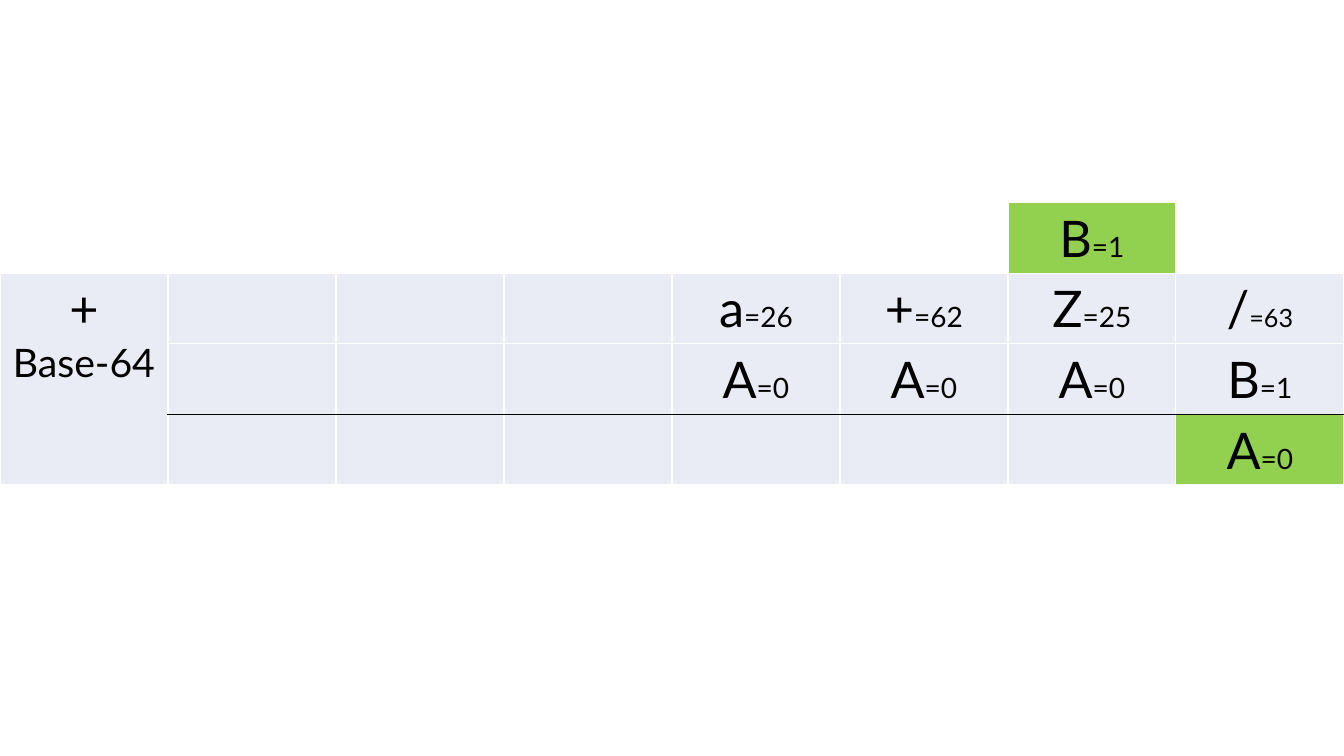
from dataclasses import dataclass

from lxml.etree import SubElement
from pptx import Presentation
from pptx.dml.color import RGBColor
from pptx.enum.text import PP_ALIGN
from pptx.oxml.ns import qn
from pptx.util import Pt


@dataclass(frozen=True)
class Theme:
    font: str = "Lato"
    ink: str = "000000"
    grid: str = "FFFFFF"
    pale: str = "E9EBF5"
    green: str = "92D050"
    digit: int = 36
    base: int = 28
    value: int = 20
    small: int = 18


THEME = Theme()
COLS, ROWS = 8, 4
WIDTH, HEIGHT = 960, 540
TOP, ROW_H = 144.72, 50.4
SUM_ROW = 3

# Digits of the addition, by (row, column)
DIGITS = {
    (0, 6): ("B", 1),
    (1, 4): ("a", 26), (1, 5): ("+", 62), (1, 6): ("Z", 25), (1, 7): ("/", 63),
    (2, 4): ("A", 0), (2, 5): ("A", 0), (2, 6): ("A", 0), (2, 7): ("B", 1),
    (3, 7): ("A", 0),
}
MARKED = {(0, 6), (3, 7)}


def add_run(para, text, size):
    run = para.add_run()
    run.text = text
    style = {"name": THEME.font, "size": Pt(size), "bold": False}
    for key, value in style.items():
        setattr(run.font, key, value)
    run.font.color.rgb = RGBColor.from_string(THEME.ink)


def write_lines(cell, lines):
    """Write centred lines, each a list of (text, size) runs."""
    frame = cell.text_frame
    for i, runs in enumerate(lines):
        para = frame.add_paragraph() if i else frame.paragraphs[0]
        para.alignment = PP_ALIGN.CENTER
        for text, size in runs:
            add_run(para, text, size)


def draw_edges(cell, row, col):
    """Draw white edges, with the black sum line above the last row."""
    props = cell._tc.get_or_add_tcPr()
    dark = {SUM_ROW: "T", SUM_ROW - 1: "B"}.get(row) if col else None
    for side in "LRTB":
        line = SubElement(props, qn(f"a:ln{side}"), w=str(Pt(1)))
        fill = SubElement(line, qn("a:solidFill"))
        color = THEME.ink if side == dark else THEME.grid
        SubElement(fill, qn("a:srgbClr"), val=color)


def paint(cell, row, col):
    if (row, col) in MARKED or row:
        color = THEME.green if (row, col) in MARKED else THEME.pale
        cell.fill.solid()
        cell.fill.fore_color.rgb = RGBColor.from_string(color)
    else:
        cell.fill.background()


def add_sum(slide):
    frame = slide.shapes.add_table(
        ROWS, COLS, Pt(0), Pt(TOP), Pt(WIDTH), Pt(ROWS * ROW_H))
    table = frame.table
    table.first_row = table.horz_banding = False
    for line in table.rows:
        line.height = Pt(ROW_H)
    for row in range(ROWS):
        for col in range(COLS):
            cell = table.cell(row, col)
            draw_edges(cell, row, col)
            paint(cell, row, col)
    for (row, col), (digit, value) in DIGITS.items():
        size = THEME.small if digit == "/" else THEME.value
        runs = [(digit, THEME.digit), (f"={value}", size)]
        write_lines(table.cell(row, col), [runs])
    label = table.cell(1, 0)
    label.merge(table.cell(SUM_ROW, 0))
    write_lines(label, [[("+", THEME.digit)], [("Base-64", THEME.base)]])


def main():
    deck = Presentation()
    deck.slide_width, deck.slide_height = Pt(WIDTH), Pt(HEIGHT)
    add_sum(deck.slides.add_slide(deck.slide_layouts[6]))
    deck.save("out.pptx")


if __name__ == "__main__":
    main()
